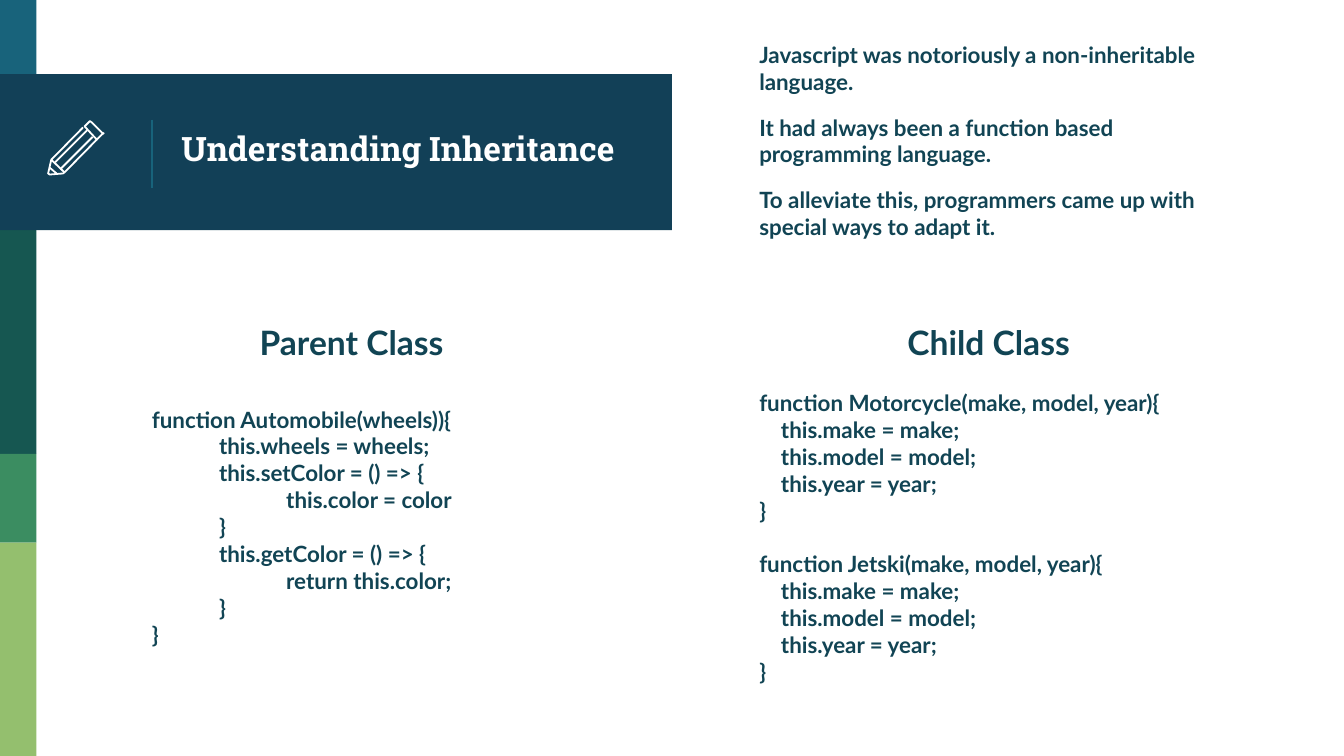
from lxml.etree import SubElement
from pptx import Presentation
from pptx.dml.color import RGBColor
from pptx.enum.shapes import MSO_CONNECTOR, MSO_SHAPE
from pptx.enum.text import MSO_ANCHOR, MSO_AUTO_SIZE, PP_ALIGN
from pptx.oxml.ns import qn
from pptx.util import Cm, Pt

THEME = {
    "blue": "18637B", "navy": "124057", "teal": "165751",
    "green": "3B8D61", "lime": "94BF6E", "white": "FFFFFF", "ink": "114454",
    "title_font": "Roboto Slab", "body_font": "Lato",
    "heading_size": 18, "body_size": 12, "code_gap": 14.4,
}

# Content
TITLE = "Understanding Inheritance"
INTRO = [
    "Javascript was notoriously a non-inheritable language.",
    "It had always been a function based programming language.",
    "To alleviate this, programmers came up with special ways to adapt it.",
]
PARENT_CODE = [
    "function Automobile(wheels)){",
    "\tthis.wheels = wheels;",
    "\tthis.setColor = () => {",
    "\t\tthis.color = color",
    "\t}",
    "\tthis.getColor = () => {",
    "\t\treturn this.color;",
    "\t}",
    "}",
]
# Each function is one paragraph; \v is a line break
CHILD_CODE = [
    "\v".join([
        f"function {name}(make, model, year){{",
        "    this.make = make;",
        "    this.model = model;",
        "    this.year = year;",
        "}",
    ])
    for name in ("Motorcycle", "Jetski")
]

# Layout in centimetres: left, top, width, height
SIDEBAR_WIDTH = 0.69
SIDEBAR = [("blue", 0, 1.47), ("teal", 4.32, 8.58), ("green", 8.58, 10.26), ("lime", 10.26, 14.29)]
BANNER = (0, 1.4, 12.7, 2.95)
TITLE_BOX = (3.18, 1.37, 8.92, 2.84)
TEXT_BOXES = [  # box, paragraphs, size, alignment, gap between paragraphs
    ((14.1, 0.53, 9.6, 5.31), INTRO, "body_size", PP_ALIGN.LEFT, 10),
    ((14.1, 7.11, 10.03, 6.76), CHILD_CODE, "body_size", PP_ALIGN.LEFT, THEME["code_gap"]),
    ((2.62, 7.42, 10.03, 6.45), PARENT_CODE, "body_size", PP_ALIGN.LEFT, 0),
    ((1.63, 5.84, 10.03, 1.27), ["Parent Class"], "heading_size", PP_ALIGN.CENTER, 0),
    ((13.67, 5.84, 10.03, 1.27), ["Child Class"], "heading_size", PP_ALIGN.CENTER, 0),
]

# Pencil strokes in hundredths of a centimetre: points, closed
PENCIL = [
    ([(193, 251), (173, 231), (170, 229), (168, 231), (160, 239), (183, 264), (193, 254), (196, 252)], True),
    ([(175, 259), (114, 320)], False),
    ([(157, 241), (97, 302), (91, 328), (94, 330), (119, 328), (122, 326), (183, 264)], False),
    ([(104, 307), (165, 246)], False),
    ([(107, 328), (94, 317)], False),
    ([(97, 302), (122, 326)], False),
]


def color(name):
    return RGBColor.from_string(THEME[name])


def add_block(slide, box, fill):
    shape = slide.shapes.add_shape(MSO_SHAPE.RECTANGLE, *map(Cm, box))
    shape.shadow.inherit = False
    shape.fill.solid()
    shape.fill.fore_color.rgb = color(fill)
    shape.line.fill.background()


def set_text(text_frame, paragraphs, font_name, size, font_color, alignment, gap=0):
    text_frame.word_wrap = True
    text_frame.auto_size = MSO_AUTO_SIZE.NONE
    text_frame.margin_left = text_frame.margin_right = Cm(0.25)
    text_frame.margin_top = text_frame.margin_bottom = Cm(0.25)
    for index, text in enumerate(paragraphs):
        paragraph = text_frame.add_paragraph() if index else text_frame.paragraphs[0]
        paragraph.text = text
        paragraph.alignment = alignment
        paragraph.space_before = Pt(gap if index else 0)
        for run in paragraph.runs:
            run.font.name = THEME[font_name]
            run.font.size = Pt(THEME[size])
            run.font.bold = True
            run.font.color.rgb = color(font_color)


def add_pencil(slide):
    group = slide.shapes.add_group_shape()
    for points, closed in PENCIL:
        builder = group.shapes.build_freeform(*points[0], scale=Cm(0.01))
        builder.add_line_segments(points[1:], close=closed)
        shape = builder.convert_to_shape()
        shape.shadow.inherit = False
        shape.fill.background()
        shape.line.color.rgb = color("white")
        shape.line.width = Pt(0.96)


def main():
    presentation = Presentation()
    presentation.slide_width, presentation.slide_height = Cm(25.4), Cm(14.29)
    slide = presentation.slides.add_slide(presentation.slide_layouts[5])

    # Sidebar and banner
    for fill, top, bottom in SIDEBAR:
        add_block(slide, (0, top, SIDEBAR_WIDTH, bottom - top), fill)
    add_block(slide, BANNER, "navy")

    # Divider between icon and title
    divider = slide.shapes.add_connector(MSO_CONNECTOR.STRAIGHT, Cm(2.87), Cm(2.26), Cm(2.87), Cm(3.56))
    divider.line.color.rgb = color("blue")
    divider.line.width = Pt(0.75)
    SubElement(divider._element.spPr, qn("a:effectLst"))

    # Title, moved in front of the banner
    title = slide.shapes.title
    title.left, title.top, title.width, title.height = map(Cm, TITLE_BOX)
    set_text(title.text_frame, [TITLE], "title_font", "heading_size", "white", PP_ALIGN.LEFT)
    title.text_frame.vertical_anchor = MSO_ANCHOR.MIDDLE
    slide.shapes._spTree.append(title._element)

    add_pencil(slide)

    # Introduction, code and headings
    for box, paragraphs, size, alignment, gap in TEXT_BOXES:
        text_box = slide.shapes.add_textbox(*map(Cm, box))
        set_text(text_box.text_frame, paragraphs, "body_font", size, "ink", alignment, gap)

    presentation.save("out.pptx")


if __name__ == "__main__":
    main()
